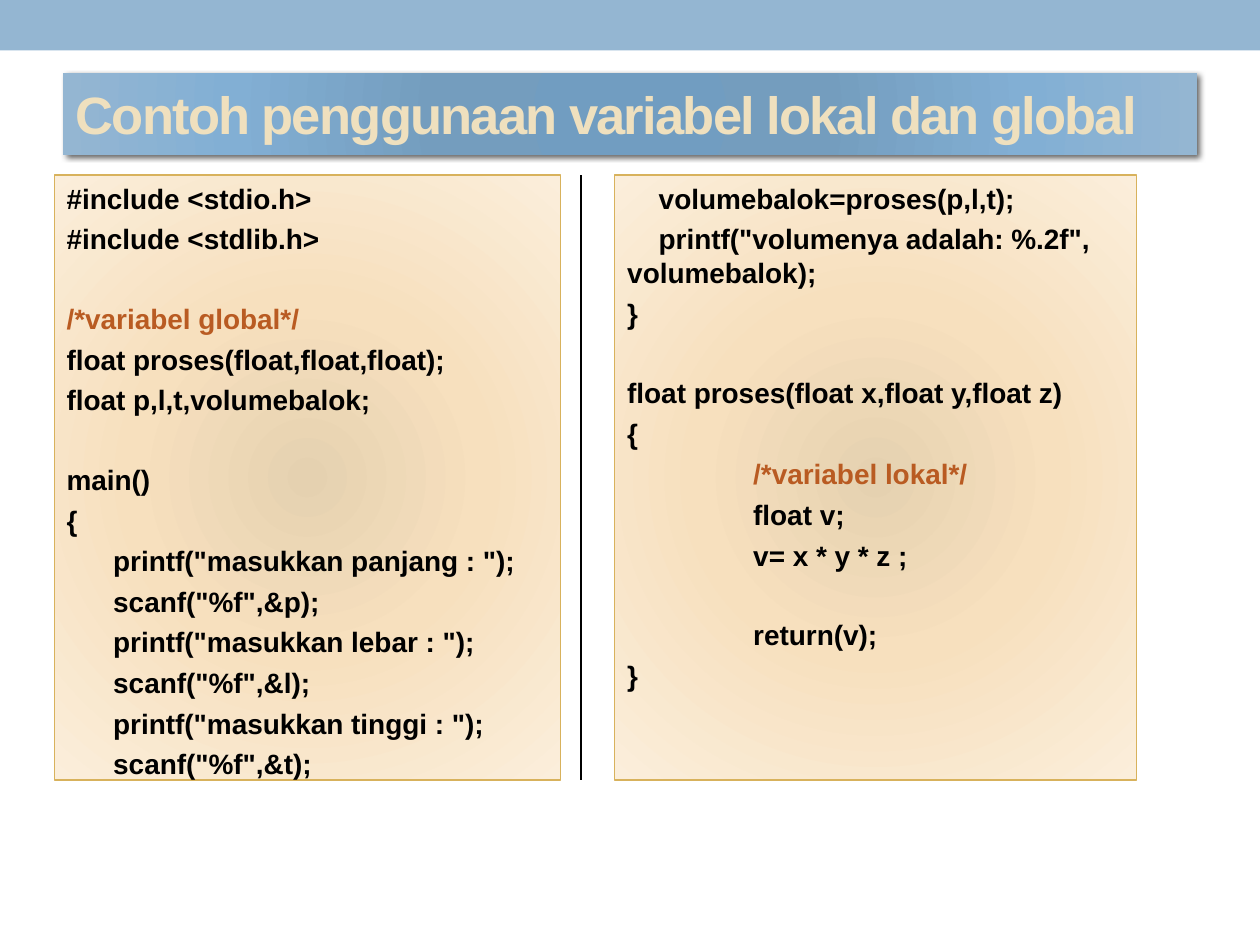
from lxml.etree import SubElement
from pptx import Presentation
from pptx.dml.color import RGBColor
from pptx.enum.shapes import MSO_CONNECTOR, MSO_SHAPE
from pptx.enum.text import MSO_ANCHOR, MSO_AUTO_SIZE, PP_ALIGN
from pptx.oxml.ns import qn
from pptx.util import Inches, Pt


def rgb(color):
    return RGBColor.from_string(color)


def radial_fill(sp, stops):
    sp.fill.gradient()
    grad = sp._element.spPr.find(qn("a:gradFill"))
    for child in list(grad):
        grad.remove(child)
    gs_list = SubElement(grad, qn("a:gsLst"))
    for pos, color in stops:
        gs = SubElement(gs_list, qn("a:gs"), pos=str(pos * 1000))
        SubElement(gs, qn("a:srgbClr"), val=color)
    path = SubElement(grad, qn("a:path"), path="circle")
    SubElement(path, qn("a:fillToRect"), {side: "100000" for side in "ltrb"})


BLACK, ORANGE = "000000", "B95B22"
TITLE_STOPS = [(0, "719DC1"), (34, "749DBE"), (70, "82AFD4"), (100, "94B6D2")]
CODE_STOPS = [(0, "E5D1B0"), (45, "F7E0BE"), (100, "FBEEDB")]
TOP, HEIGHT = 1.39, 4.8
LINE_GAP, BLOCK_GAP = 4, 26.4

columns = [
    (0.43, 4.02, [
        [(0, "#include <stdio.h>"),
         (0, "#include <stdlib.h>")],
        [(0, "/*variabel global*/"),
         (0, "float proses(float,float,float);"),
         (0, "float p,l,t,volumebalok;")],
        [(0, "main()"),
         (0, "{"),
         (0.37, 'printf("masukkan panjang : ");'),
         (0.37, 'scanf("%f",&p);'),
         (0.37, 'printf("masukkan lebar : ");'),
         (0.37, 'scanf("%f",&l);'),
         (0.37, 'printf("masukkan tinggi : ");'),
         (0.37, 'scanf("%f",&t);')],
    ]),
    (4.88, 4.14, [
        [(0.25, "volumebalok=proses(p,l,t);"),
         (0.25, 'printf("volumenya adalah: %.2f", volumebalok);'),
         (0, "}")],
        [(0, "float proses(float x,float y,float z)"),
         (0, "{"),
         (1, "/*variabel lokal*/"),
         (1, "float v;"),
         (1, "v= x * y * z ;")],
        [(1, "return(v);"),
         (0, "}")],
    ]),
]

prs = Presentation()
prs.slide_width, prs.slide_height = Inches(10), Inches(7.5)
s = prs.slides.add_slide(prs.slide_layouts[5])

bar = s.shapes.add_shape(MSO_SHAPE.RECTANGLE, 0, 0, Inches(10), Inches(0.4))
bar.shadow.inherit = False
bar.fill.solid()
bar.fill.fore_color.rgb = rgb("94B6D2")
bar.line.fill.background()

title = s.shapes.title
title.left, title.top = Inches(0.5), Inches(0.58)
title.width, title.height = Inches(9), Inches(0.65)
radial_fill(title, TITLE_STOPS)
title.shadow.inherit = False
effects = title._element.spPr.find(qn("a:effectLst"))
shadow = SubElement(effects, qn("a:outerShdw"), blurRad=str(Pt(3)), dist=str(Pt(2)),
                    dir="2700000", algn="tl", rotWithShape="0")
shadow_color = SubElement(shadow, qn("a:srgbClr"), val=BLACK)
SubElement(shadow_color, qn("a:alpha"), val="60000")
tf = title.text_frame
tf.auto_size = MSO_AUTO_SIZE.NONE
tf.vertical_anchor = MSO_ANCHOR.MIDDLE
p = tf.paragraphs[0]
p.alignment = PP_ALIGN.LEFT
r = p.add_run()
r.text = "Contoh penggunaan variabel lokal dan global"
for name, value in {"name": "Arial", "size": Pt(30), "bold": True}.items():
    setattr(r.font, name, value)
r.font.color.rgb = rgb("EFE0BE")
r._r.get_or_add_rPr().set("spc", "-100")

for left, width, blocks in columns:
    sp = s.shapes.add_shape(MSO_SHAPE.RECTANGLE, Inches(left), Inches(TOP),
                            Inches(width), Inches(HEIGHT))
    sp.shadow.inherit = False
    radial_fill(sp, CODE_STOPS)
    sp.line.color.rgb = rgb("D8B25C")
    sp.line.width = Pt(0.75)
    tf = sp.text_frame
    tf.word_wrap = True
    tf.vertical_anchor = MSO_ANCHOR.TOP
    p = tf.paragraphs[0]
    for b, block in enumerate(blocks):
        for i, (indent, text) in enumerate(block):
            if b or i:
                p = tf.add_paragraph()
            p.alignment = PP_ALIGN.LEFT
            p.space_before = Pt(BLOCK_GAP if b and i == 0 else LINE_GAP)
            pPr = p._p.get_or_add_pPr()
            pPr.set("marL", "0")
            pPr.set("indent", str(Inches(indent)))
            r = p.add_run()
            r.text = text
            for name, value in {"name": "Arial", "size": Pt(16), "bold": True}.items():
                setattr(r.font, name, value)
            r.font.color.rgb = rgb(ORANGE if text.startswith("/*") else BLACK)

divider = s.shapes.add_connector(MSO_CONNECTOR.STRAIGHT, Inches(4.61), Inches(TOP),
                                 Inches(4.61), Inches(TOP + HEIGHT))
divider.line.color.rgb = rgb(BLACK)
divider.line.width = Pt(1)
SubElement(divider._element.spPr, qn("a:effectLst"))

prs.save("out.pptx")
